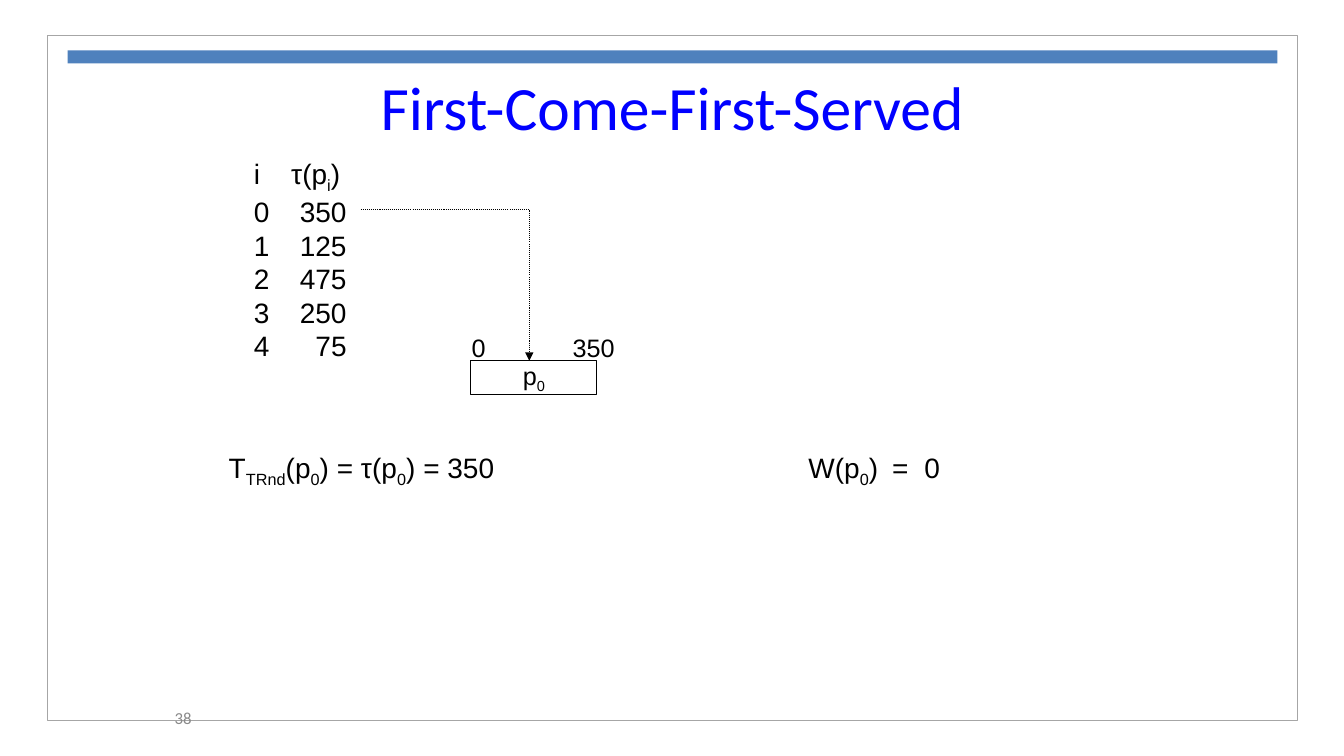
"""Build the First-Come-First-Served scheduling slide."""
import dataclasses
import typing

import pptx
import pptx.dml.color
import pptx.enum.dml
import pptx.enum.shapes
import pptx.enum.text
import pptx.oxml
import pptx.oxml.ns
import pptx.util

Inches = pptx.util.Inches
Align = pptx.enum.text.PP_ALIGN
Anchor = pptx.enum.text.MSO_ANCHOR
Stops = tuple[tuple[float, str], ...]


@dataclasses.dataclass
class Label:
    box: tuple[float, float, float, float]
    lines: list[str]
    size: int = 20
    font: str = "Arial"
    color: str = "000000"
    align: typing.Any = Align.LEFT
    anchor: typing.Any = Anchor.TOP
    head: Stops = ()
    stops: Stops = ()


@dataclasses.dataclass
class Block:
    box: tuple[float, float, float, float]
    fill: str | None = None
    line: str | None = None
    width: float = 0.75


FRAME = [
    Block((0.47, 0.35, 12.4, 6.8), line="A6A6A6", width=1),
    Block((0.67, 0.5, 12, 0.13), fill="4F81BD"),
]
JOB = Block((4.67, 3.58, 1.25, 0.33), fill="FFFFFF", line="000000")
NAME = Label(JOB.box, ["p|0|"], 18, align=Align.CENTER, anchor=Anchor.MIDDLE)
TIMES = [350, 125, 475, 250, 75]
ROWS = ["i\tτ(p|i|)"] + [f"{i}\t{time}" for i, time in enumerate(TIMES)]
LABELS = [
    Label((2.42, 0.67, 8.5, 0.75), ["First-Come-First-Served"], 44, "Calibri",
          "0000FF", Align.CENTER, Anchor.MIDDLE),
    Label((2.42, 1.5, 1.13, 2.12), ROWS, head=((0.37, "l"),), stops=((0.92, "r"),)),
    Label((2.17, 4.42, 2.95, 0.44), ["T|TRnd|(p|0|) = τ(p|0|) = 350"]),
    Label((7.92, 4.42, 1.54, 0.44), ["W(p|0|)\t=\t0"], head=((0.83, "l"), (1.15, "l"))),
    Label((4.58, 3.25, 0.34, 0.4), ["0"], 18),
    Label((5.58, 3.25, 0.62, 0.4), ["350"], 18),
    Label((0.56, 6.92, 1.44, 0.4), ["38"], 12, "Calibri", "898989",
          Align.RIGHT, Anchor.MIDDLE),
]
ROUTE = [(3.58, 2.08), (5.25, 2.08), (5.25, 3.58)]


def tint(code: str) -> pptx.dml.color.RGBColor:
    return pptx.dml.color.RGBColor.from_string(code)


def apply(part: typing.Any, style: dict[str, typing.Any]) -> None:
    for key, value in style.items():
        setattr(part, key, value)


def add_tabs(para: typing.Any, stops: Stops) -> None:
    tabs = pptx.oxml.parse_xml(f"<a:tabLst {pptx.oxml.ns.nsdecls('a')}/>")
    for pos, kind in stops:
        tab = tabs.makeelement(pptx.oxml.ns.qn("a:tab"),
                               {"pos": str(Inches(pos)), "algn": kind})
        tabs.append(tab)
    para._p.get_or_add_pPr().append(tabs)


def write(frame: typing.Any, label: Label) -> None:
    apply(frame, {"word_wrap": True, "vertical_anchor": label.anchor,
                  "margin_right": Inches(0.1 if label.align != Align.LEFT else 0)})
    for row, line in enumerate(label.lines):
        para = frame.paragraphs[0] if row == 0 else frame.add_paragraph()
        para.alignment = label.align
        stops = label.stops if row else label.head
        if stops:
            add_tabs(para, stops)
        for part, text in enumerate(line.split("|")):
            if not text:
                continue
            run = para.add_run()
            run.text = text
            apply(run.font, {"size": pptx.util.Pt(label.size), "name": label.font})
            run.font.color.rgb = tint(label.color)
            if part % 2:
                run._r.get_or_add_rPr().set("baseline", "-25000")


def add_label(slide: typing.Any, label: Label) -> None:
    write(slide.shapes.add_textbox(*map(Inches, label.box)).text_frame, label)


def add_block(slide: typing.Any, block: Block) -> typing.Any:
    kind = pptx.enum.shapes.MSO_SHAPE.RECTANGLE
    shape = slide.shapes.add_shape(kind, *map(Inches, block.box))
    shape.shadow.inherit = False
    if block.fill:
        shape.fill.solid()
        shape.fill.fore_color.rgb = tint(block.fill)
    else:
        shape.fill.background()
    if block.line:
        shape.line.color.rgb = tint(block.line)
        shape.line.width = pptx.util.Pt(block.width)
    else:
        shape.line.fill.background()
    return shape


def add_route(slide: typing.Any) -> None:
    start, *rest = [(Inches(x), Inches(y)) for x, y in ROUTE]
    path = slide.shapes.build_freeform(*start)
    path.add_line_segments(rest, close=False)
    shape = path.convert_to_shape()
    shape.shadow.inherit = False
    shape.fill.background()
    shape.line.color.rgb = tint("000000")
    apply(shape.line, {"width": pptx.util.Pt(0.75),
                       "dash_style": pptx.enum.dml.MSO_LINE.ROUND_DOT})
    tail = f'<a:tailEnd {pptx.oxml.ns.nsdecls("a")} type="triangle"/>'
    shape.line._get_or_add_ln().append(pptx.oxml.parse_xml(tail))


def main() -> None:
    deck = pptx.Presentation()
    apply(deck, {"slide_width": Inches(13.33), "slide_height": Inches(7.5)})
    slide = deck.slides.add_slide(deck.slide_layouts[6])
    for block in FRAME:
        add_block(slide, block)
    write(add_block(slide, JOB).text_frame, NAME)
    add_route(slide)
    for label in LABELS:
        add_label(slide, label)
    deck.save("out.pptx")


if __name__ == "__main__":
    main()
